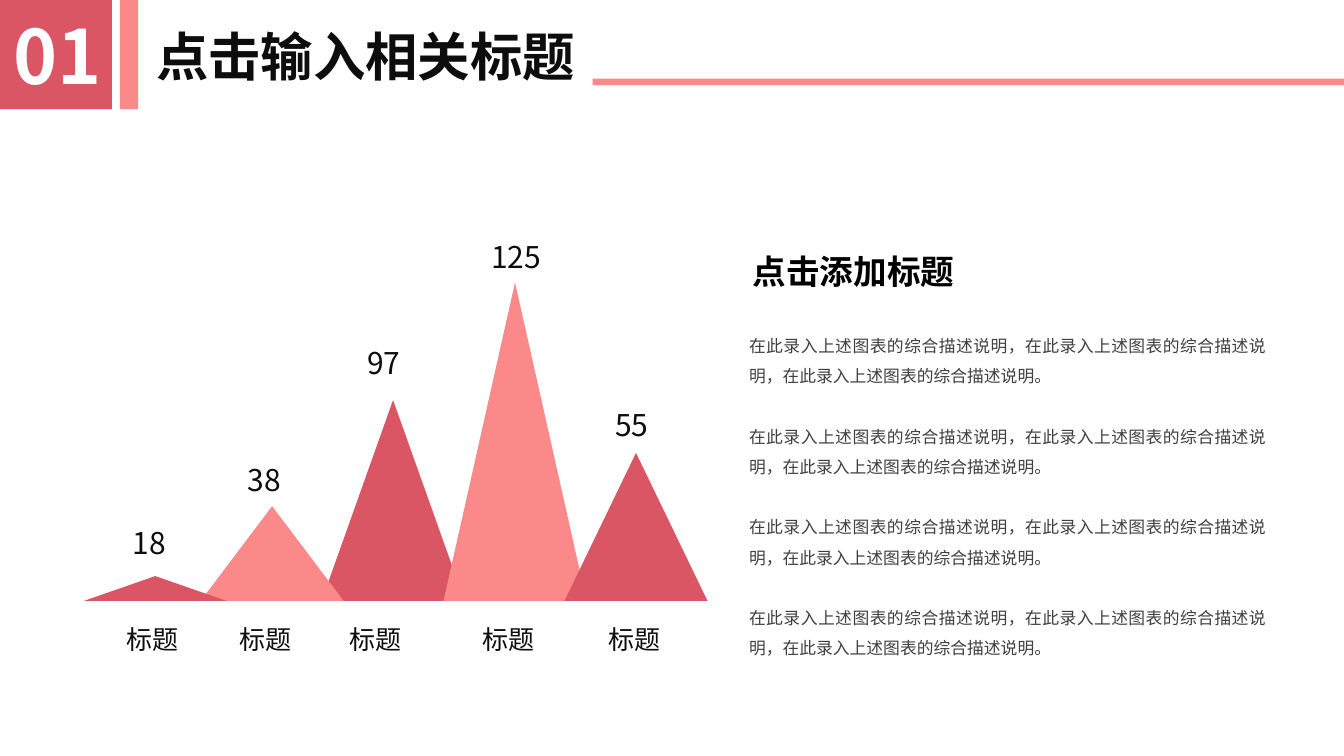
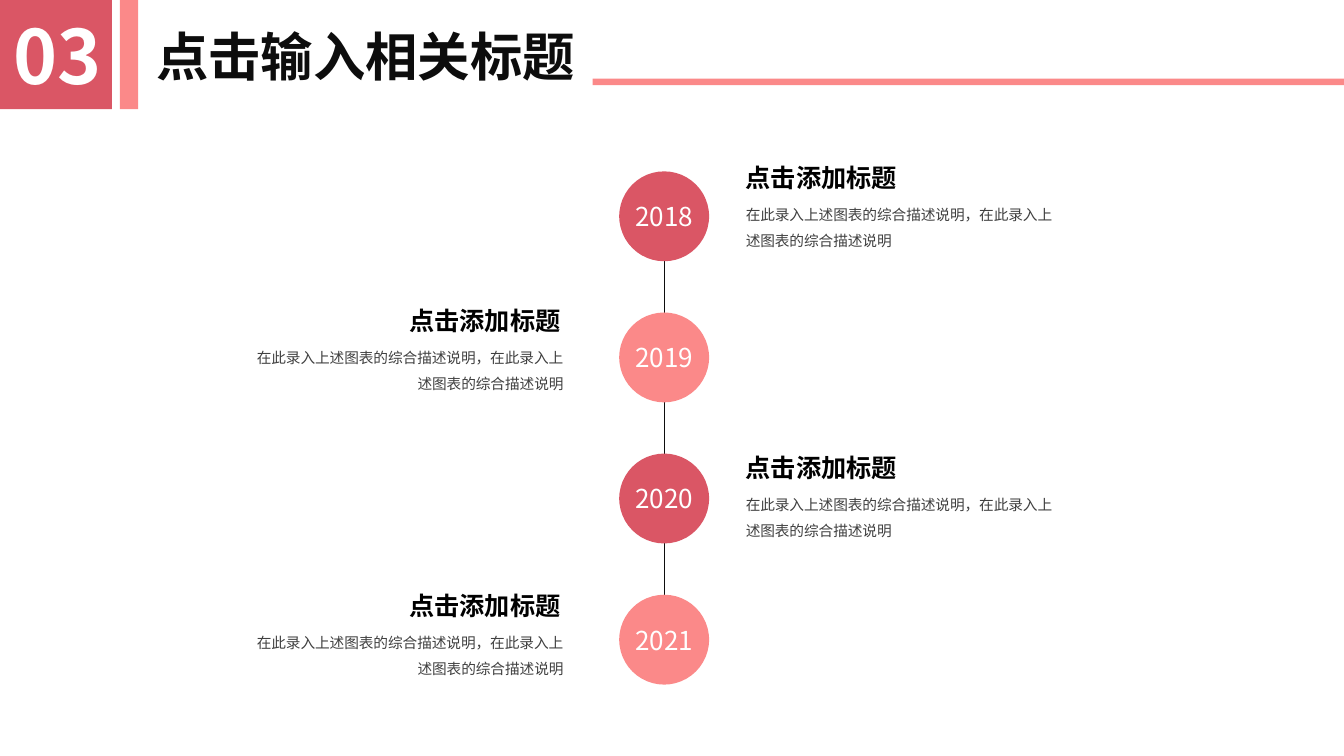
from collections import namedtuple

from lxml import etree
from pptx import Presentation
from pptx.dml.color import RGBColor
from pptx.enum import shapes, text
from pptx.oxml.ns import qn
from pptx.util import Pt

FONT = "Noto Sans CJK SC"
RED, PINK, WHITE = "DA5665", "FB8989", "FFFFFF"
INK, BLACK, GREY = "0D0D0D", "000000", "404040"
LEFT, CENTER, RIGHT, JUSTIFY = (
    text.PP_ALIGN.LEFT, text.PP_ALIGN.CENTER, text.PP_ALIGN.RIGHT, text.PP_ALIGN.JUSTIFY)
TOP, MIDDLE = text.MSO_ANCHOR.TOP, text.MSO_ANCHOR.MIDDLE
LINE_HEIGHT = 1.2
WIDE_LINE_HEIGHT = 1.8

Box = namedtuple("Box", "left top width height")
Peak = namedtuple("Peak", "value left height color value_center value_top label_center")
Event = namedtuple("Event", "year color side heading_top")

SLIDE = Box(0, 0, 960, 540)
HEADER = Box(0, 0, 960, 78)
PEAK_AREA = Box(59.8, 167, 446, 306)
DESCRIPTION_AREA = Box(527.8, 161, 384, 338)
TIMELINE_AREA = Box(173.5, 101.5, 588, 388)

SLIDE_TITLE = "点击输入相关标题"
HEADING = "点击添加标题"
PHRASE = "在此录入上述图表的综合描述说明"

# Listed from back to front, measured from the corner of the peak area.
PEAKS = [
    Peak("97", 169.9, 143.5, RED, 214.5, 75.6, 208.8),
    Peak("38", 83.5, 67.7, PINK, 129, 159, 129.6),
    Peak("18", 0, 17.8, RED, 47, 204.5, 49),
    Peak("125", 257, 227.5, PINK, 309, 0, 303.8),
    Peak("55", 343.4, 105.8, RED, 391.5, 119.6, 393.8),
]
EVENTS = [
    Event("2018", RED, RIGHT, 0),
    Event("2019", PINK, LEFT, 102.3),
    Event("2020", RED, RIGHT, 207.4),
    Event("2021", PINK, LEFT, 306),
]


def rgb(value):
    return RGBColor.from_string(value)


def place(shape, box):
    shape.left, shape.top, shape.width, shape.height = (Pt(length) for length in box)


def write_text(shape, *lines, size, color=INK, bold=False, align=LEFT, anchor=TOP,
               wrap=True, line_height=LINE_HEIGHT, gap=0, margins=(7.2, 3.6)):
    """Fill a shape with one paragraph per line, separated by gap."""
    frame = shape.text_frame
    frame.word_wrap = wrap
    frame.auto_size = text.MSO_AUTO_SIZE.NONE
    frame.vertical_anchor = anchor
    frame.margin_left = frame.margin_right = Pt(margins[0])
    frame.margin_top = frame.margin_bottom = Pt(margins[1])
    for index, line in enumerate(lines):
        paragraph = frame.add_paragraph() if index else frame.paragraphs[0]
        paragraph.alignment = align
        paragraph.line_spacing = Pt(round(size * line_height, 2))
        paragraph.space_before = Pt(gap if index else 0)
        run = paragraph.add_run()
        run.text = line
        run.font.size = Pt(size)
        run.font.bold = bold
        run.font.name = FONT
        run.font.color.rgb = rgb(color)
        properties = run._r.get_or_add_rPr()
        etree.SubElement(properties, qn("a:ea")).set("typeface", FONT)


def add_text(slide, box, *lines, **text_format):
    shape = slide.shapes.add_textbox(*(Pt(length) for length in box))
    write_text(shape, *lines, **text_format)


def add_filled(slide, kind, box, color):
    shape = slide.shapes.add_shape(kind, *(Pt(length) for length in box))
    shape.shadow.inherit = False
    shape.fill.solid()
    shape.fill.fore_color.rgb = rgb(color)
    shape.line.fill.background()
    return shape


def remove_bullets(shape):
    for paragraph in shape.text_frame.paragraphs:
        properties = paragraph._p.get_or_add_pPr()
        properties.set("marL", "0")
        properties.set("indent", "0")
        etree.SubElement(properties, qn("a:buNone"))


def add_header(slide, box, number):
    left, top, width, height = box
    rectangle = shapes.MSO_SHAPE.RECTANGLE
    rule_left = 423.4
    add_filled(slide, rectangle, Box(left, top, 80, height), RED)
    add_filled(slide, rectangle, Box(left + 85.7, top, 13, height), PINK)
    add_filled(slide, rectangle,
               Box(left + rule_left, top + 56.2, width - rule_left, 4.6), PINK)
    add_text(slide, Box(left + 4, top + 3.6, 76, 72), number, size=53.4,
             color=WHITE, bold=True, align=RIGHT, wrap=False)
    place(slide.shapes.title, Box(left + 102.2, top + 17.3, 439, 45.4))
    write_text(slide.shapes.title, SLIDE_TITLE, size=37.4, bold=True,
               anchor=MIDDLE, margins=(9.4, 5))


def add_peaks(slide, box):
    base, peak_width, label_width = box.top + 262.3, 102.2, 52
    for peak in PEAKS:
        add_filled(slide, shapes.MSO_SHAPE.ISOSCELES_TRIANGLE,
                   Box(box.left + peak.left, base - peak.height, peak_width, peak.height),
                   peak.color)
    for peak in PEAKS:
        labels = [(peak.value, peak.value_center, peak.value_top, 21.4),
                  ("标题", peak.label_center, 275, 18.6)]
        for label, center, top, size in labels:
            add_text(slide,
                     Box(box.left + center - label_width / 2, box.top + top, label_width, 33),
                     label, size=size, align=CENTER, wrap=False)


def add_description(slide, box):
    add_text(slide, Box(box.left + 2.8, box.top, 190, 45), HEADING, size=24,
             color=BLACK, bold=True, line_height=WIDE_LINE_HEIGHT)
    body = slide.placeholders[1]
    place(body, Box(box.left, box.top + 68, box.width, box.height - 68))
    write_text(body, *[f"{PHRASE}，{PHRASE}，{PHRASE}。"] * 4, size=12, color=GREY,
               align=JUSTIFY, line_height=WIDE_LINE_HEIGHT, gap=21.6)
    remove_bullets(body)


def add_timeline(slide, box):
    diameter, step, text_width, heading_width = 64.2, 100.8, 236.2, 126
    circle_left, first_top = box.left + 268.8, box.top + 20.9
    middle, first_center = circle_left + diameter / 2, first_top + diameter / 2
    last_center = first_center + step * (len(EVENTS) - 1)
    line = slide.shapes.add_connector(
        shapes.MSO_CONNECTOR.STRAIGHT,
        Pt(middle), Pt(first_center), Pt(middle), Pt(last_center))
    line.line.color.rgb = rgb(INK)
    line.line.width = Pt(0.75)
    etree.SubElement(line._element.spPr, qn("a:effectLst"))

    for index, event in enumerate(EVENTS):
        circle = add_filled(slide, shapes.MSO_SHAPE.OVAL,
                            Box(circle_left, first_top + index * step, diameter, diameter),
                            event.color)
        write_text(circle, event.year, size=18.6, color=WHITE, align=CENTER,
                   anchor=MIDDLE, wrap=False)
        if event.side == RIGHT:
            align = LEFT
            text_left = heading_left = box.left + 352.1
        else:
            align = RIGHT
            text_left = box.left
            heading_left = text_left + text_width - heading_width - 2.2
        top = box.top + event.heading_top
        add_text(slide, Box(heading_left, top, heading_width, 40), HEADING, size=18,
                 color=BLACK, bold=True, align=align, line_height=WIDE_LINE_HEIGHT)
        add_text(slide, Box(text_left, top + 35.4, text_width, 45), f"{PHRASE}，{PHRASE}",
                 size=10.5, color=GREY, align=align, line_height=WIDE_LINE_HEIGHT)


def add_slide(presentation, layout_name, number):
    layout = presentation.slide_layouts.get_by_name(layout_name)
    slide = presentation.slides.add_slide(layout)
    add_header(slide, HEADER, number)
    return slide


def main():
    presentation = Presentation()
    presentation.slide_width = Pt(SLIDE.width)
    presentation.slide_height = Pt(SLIDE.height)

    peak_slide = add_slide(presentation, "Title and Content", "01")
    add_peaks(peak_slide, PEAK_AREA)
    add_description(peak_slide, DESCRIPTION_AREA)

    timeline_slide = add_slide(presentation, "Title Only", "03")
    add_timeline(timeline_slide, TIMELINE_AREA)

    presentation.save("out.pptx")


if __name__ == "__main__":
    main()
